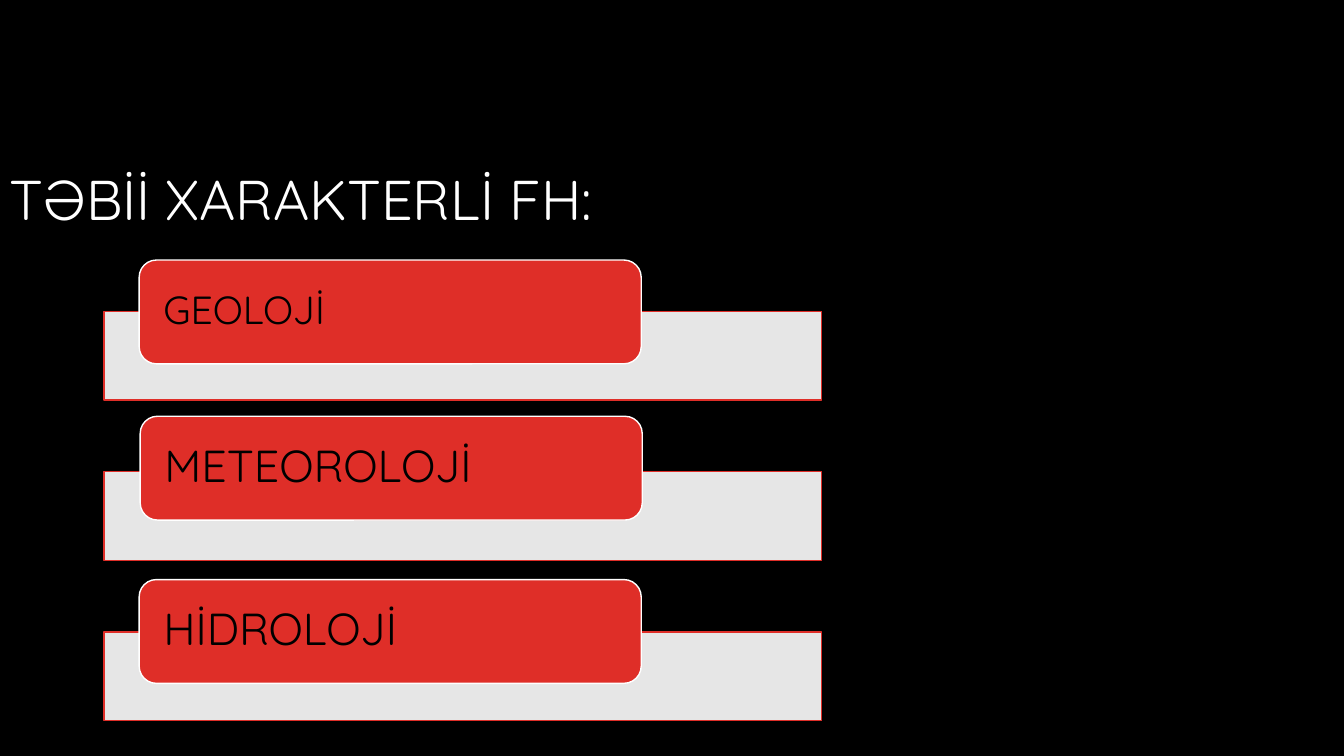
from lxml.etree import SubElement
from pptx import Presentation
from pptx.dml.color import RGBColor
from pptx.enum.shapes import MSO_SHAPE
from pptx.enum.text import MSO_ANCHOR, PP_ALIGN
from pptx.oxml.ns import qn
from pptx.util import Inches, Pt

BLACK, WHITE, RED = "000000", "FFFFFF", "DF2E28"
HAZARDS = [
    ("GEOLOJİ", 28, 1.38, 2.58),
    ("METEOROLOJİ", 32, 1.39, 4.13),
    ("HİDROLOJİ", 32, 1.38, 5.75),
]
BAR_TOP, BAR_STEP = 3.09, 1.59


def color(value):
    return RGBColor.from_string(value)


def apply_format(target, values):
    for name, value in values.items():
        setattr(target, name, value)


def write_text(shape, text, size, text_color, frame_format, paragraph_format):
    frame = shape.text_frame
    apply_format(frame, {"word_wrap": True, **frame_format})
    paragraph = frame.paragraphs[0]
    apply_format(paragraph, {"alignment": PP_ALIGN.LEFT, "line_spacing": 0.9, **paragraph_format})
    run = paragraph.add_run()
    run.text = text
    apply_format(run.font, {"name": "Quicksand", "size": Pt(size)})
    run.font.color.rgb = color(text_color)


def add_box(slide, kind, left, top, width, height, fill, line):
    shape = slide.shapes.add_shape(kind, Inches(left), Inches(top), Inches(width), Inches(height))
    shape.shadow.inherit = False
    shape.fill.solid()
    shape.fill.fore_color.rgb = color(fill)
    shape.line.color.rgb = color(line)
    shape.line.width = Pt(1)
    return shape


def set_opacity(shape, percent):
    fill_color = shape.fill._xPr.find(qn("a:solidFill")).find(qn("a:srgbClr"))
    SubElement(fill_color, qn("a:alpha")).set("val", str(percent * 1000))


def add_title(slide, text):
    title = slide.shapes.add_textbox(Inches(0), Inches(1.66), Inches(6.59), Inches(0.88))
    write_text(title, text, 40, WHITE, {}, {"space_before": Pt(10)})


def add_bar(slide, top):
    bar = add_box(slide, MSO_SHAPE.RECTANGLE, 1.03, top, 7.12, 0.88, WHITE, RED)
    set_opacity(bar, 90)


def add_label(slide, text, size, left, top):
    label = add_box(slide, MSO_SHAPE.ROUNDED_RECTANGLE, left, top, 4.98, 1.03, RED, WHITE)
    frame_format = {
        "vertical_anchor": MSO_ANCHOR.MIDDLE,
        "margin_left": Inches(0.19),
        "margin_right": Inches(0.19),
        "margin_top": 0,
        "margin_bottom": 0,
    }
    write_text(label, text, size, BLACK, frame_format, {})


def main():
    presentation = Presentation()
    apply_format(presentation, {"slide_width": Inches(13.33), "slide_height": Inches(7.5)})
    slide = presentation.slides.add_slide(presentation.slide_layouts[6])
    slide.background.fill.solid()
    slide.background.fill.fore_color.rgb = color(BLACK)
    add_title(slide, "TƏBİİ XARAKTERLİ FH:")
    for index, (text, size, left, top) in enumerate(HAZARDS):
        add_bar(slide, BAR_TOP + index * BAR_STEP)
        add_label(slide, text, size, left, top)
    presentation.save("out.pptx")


if __name__ == "__main__":
    main()
